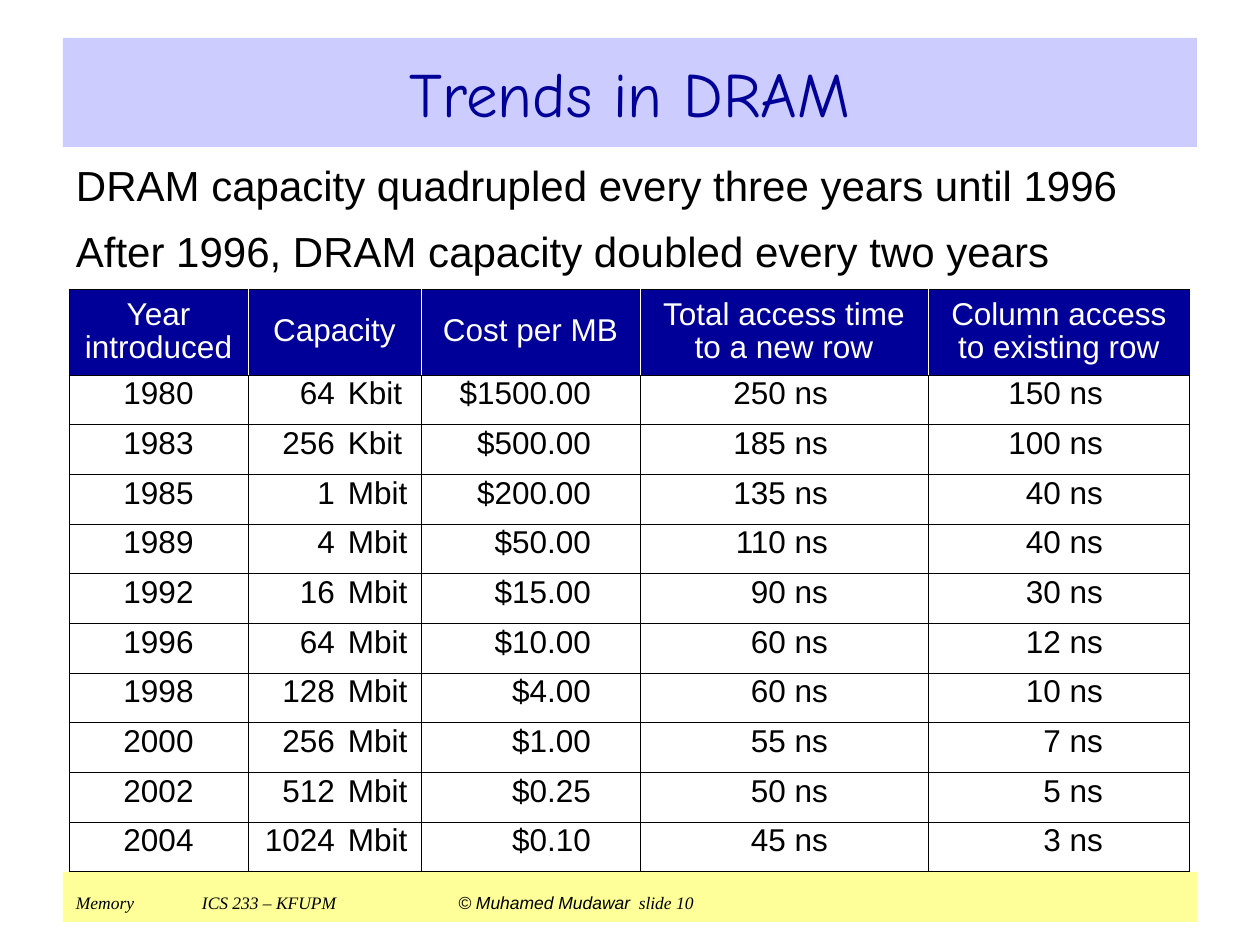
from dataclasses import dataclass
from typing import Optional

from pptx import Presentation
from pptx.dml.color import RGBColor
from pptx.enum.shapes import MSO_SHAPE
from pptx.enum.text import MSO_ANCHOR, PP_ALIGN
from pptx.oxml.ns import qn
from pptx.util import Emu, Inches, Pt
from lxml import etree

PX = Inches(1) / 126
RECTANGLE = MSO_SHAPE.RECTANGLE
LEFT, CENTER, RIGHT = PP_ALIGN.LEFT, PP_ALIGN.CENTER, PP_ALIGN.RIGHT
TOP, MIDDLE = MSO_ANCHOR.TOP, MSO_ANCHOR.MIDDLE

BLACK = RGBColor(0x00, 0x00, 0x00)
WHITE = RGBColor(0xFF, 0xFF, 0xFF)
NAVY = RGBColor(0x00, 0x00, 0x99)
LAVENDER = RGBColor(0xCC, 0xCC, 0xFF)
YELLOW = RGBColor(0xFF, 0xFF, 0x99)

INSET_X, INSET_Y = 13, 6
OUTER_LINE, INNER_LINE = 0.5, 0.23
HEADER_HEIGHT, BODY_HEIGHT = 86, 497


@dataclass(frozen=True)
class Box:
    left: int
    top: int
    width: int
    height: int

    def emu(self) -> tuple:
        return tuple(px(n) for n in (self.left, self.top, self.width, self.height))


@dataclass(frozen=True)
class Run:
    text: str
    font: str = "Arial"
    size: int = 18
    italic: bool = False


@dataclass(frozen=True)
class Column:
    heading: str
    width: int
    values: tuple
    align: Optional[PP_ALIGN] = RIGHT
    right_inset: int = INSET_X
    tabs: tuple = ()


COLUMNS = (
    Column("Year introduced", 179,
           ("1980", "1983", "1985", "1989", "1992",
            "1996", "1998", "2000", "2002", "2004"), CENTER),
    Column("Capacity", 173,
           ("\t64\tKbit", "\t256\tKbit", "\t1\tMbit", "\t4\tMbit", "\t16\tMbit",
            "\t64\tMbit", "\t128\tMbit", "\t256\tMbit", "\t512\tMbit", "\t1024\tMbit"),
           LEFT, tabs=((74, "r"), (87, "l"))),
    Column("Cost per MB", 219,
           ("$1500.00", "$500.00", "$200.00", "$50.00", "$15.00",
            "$10.00", "$4.00", "$1.00", "$0.25", "$0.10"), right_inset=49),
    Column("Total access time to a new row", 288,
           ("250 ns", "185 ns", "135 ns", "110 ns", "90 ns",
            "60 ns", "60 ns", "55 ns", "50 ns", "45 ns"), right_inset=100),
    Column("Column access to existing row", 262,
           ("150 ns", "100 ns", "40 ns", "40 ns", "30 ns",
            "12 ns", "10 ns", "7 ns", "5 ns", "3 ns"), right_inset=87),
)


def px(length: float) -> Emu:
    return Emu(round(length * PX))


def set_insets(target, right: int = INSET_X) -> None:
    target.margin_left, target.margin_right = px(INSET_X), px(right)
    target.margin_top = target.margin_bottom = px(INSET_Y)


def write(paragraph, *runs: Run, color: RGBColor = BLACK, align=LEFT,
          space_before: float = 0, line_spacing: float = 1.0,
          tabs: tuple = (), hanging: int = 0) -> None:
    paragraph.alignment = align
    paragraph.space_before = Pt(space_before)
    paragraph.line_spacing = line_spacing
    properties = paragraph._p.get_or_add_pPr()
    if hanging:
        properties.set("marL", str(px(hanging)))
        properties.set("indent", str(-px(hanging)))
    if tabs:
        tab_list = etree.SubElement(properties, qn("a:tabLst"))
        for position, kind in tabs:
            etree.SubElement(tab_list, qn("a:tab"), pos=str(px(position)), algn=kind)
    for item in runs:
        run = paragraph.add_run()
        run.text = item.text
        run.font.name = item.font
        run.font.size = Pt(item.size)
        run.font.italic = item.italic
        run.font.color.rgb = color


def add_band(slide, box: Box, fill: RGBColor, anchor):
    shape = slide.shapes.add_shape(RECTANGLE, *box.emu())
    shape.shadow.inherit = False
    shape.fill.solid()
    shape.fill.fore_color.rgb = fill
    shape.line.fill.background()
    frame = shape.text_frame
    frame.word_wrap = True
    frame.vertical_anchor = anchor
    set_insets(frame)
    return frame.paragraphs[0]


def add_border(cell, side: str, color: RGBColor, width: float) -> None:
    line = etree.SubElement(cell._tc.get_or_add_tcPr(), qn(f"a:ln{side}"), w=str(Pt(width)))
    fill = etree.SubElement(line, qn("a:solidFill"))
    etree.SubElement(fill, qn("a:srgbClr"), val=str(color))


def add_borders(cell, row: int, column: int, last_row: int, last_column: int) -> None:
    sides = {"L": column == 0, "R": column == last_column,
             "T": row == 0, "B": row == last_row}
    for side, outer in sides.items():
        divider = row == 0 and side in "LR" and not outer
        add_border(cell, side, WHITE if divider else BLACK,
                   OUTER_LINE if outer else INNER_LINE)


def add_trend_table(slide, box: Box) -> None:
    row_count = len(COLUMNS[0].values)
    table = slide.shapes.add_table(row_count + 1, len(COLUMNS), *box.emu()).table
    table.first_row = table.horz_banding = False
    for index, row in enumerate(table.rows):
        row.height = px(BODY_HEIGHT / row_count if index else HEADER_HEIGHT)
    for column_index, column in enumerate(COLUMNS):
        table.columns[column_index].width = px(column.width)
        for row_index, text in enumerate((column.heading, *column.values)):
            cell = table.cell(row_index, column_index)
            add_borders(cell, row_index, column_index, row_count, len(COLUMNS) - 1)
            paragraph = cell.text_frame.paragraphs[0]
            if row_index == 0:
                set_insets(cell)
                cell.vertical_anchor = MIDDLE
                cell.fill.solid()
                cell.fill.fore_color.rgb = NAVY
                write(paragraph, Run(text), color=WHITE, align=CENTER, line_spacing=0.94)
            else:
                set_insets(cell, column.right_inset)
                cell.vertical_anchor = TOP
                cell.fill.background()
                write(paragraph, Run(text), align=column.align,
                      line_spacing=0.85, tabs=column.tabs)


def add_statements(slide, box: Box, statements: tuple) -> None:
    frame = slide.shapes.add_textbox(*box.emu()).text_frame
    frame.word_wrap = True
    set_insets(frame)
    for index, text in enumerate(statements):
        paragraph = frame.add_paragraph() if index else frame.paragraphs[0]
        write(paragraph, Run(text, size=24), space_before=9 if index else 0, hanging=48)


def main() -> None:
    presentation = Presentation()
    presentation.slide_width, presentation.slide_height = Inches(10), Inches(7.5)
    slide = presentation.slides.add_slide(presentation.slide_layouts[6])

    footer = add_band(slide, Box(63, 872, 1134, 50), YELLOW, TOP)
    write(footer,
          Run("Memory\tICS 233 – KFUPM\t ", "Times New Roman", 10, True),
          Run("© Muhamed Mudawar", size=10, italic=True),
          Run(" "),
          Run("slide 10", "Times New Roman", 10, True),
          tabs=((126, "l"), (378, "l")))

    title = add_band(slide, Box(63, 38, 1134, 109), LAVENDER, MIDDLE)
    write(title, Run("Trends in DRAM", "Comic Neue", 36), color=NAVY, align=CENTER)

    add_statements(slide, Box(63, 153, 1134, 131), (
        "DRAM capacity quadrupled every three years until 1996",
        "After 1996, DRAM capacity doubled every two years"))
    add_trend_table(slide, Box(69, 289, 1121, HEADER_HEIGHT + BODY_HEIGHT))
    presentation.save("out.pptx")


if __name__ == "__main__":
    main()
